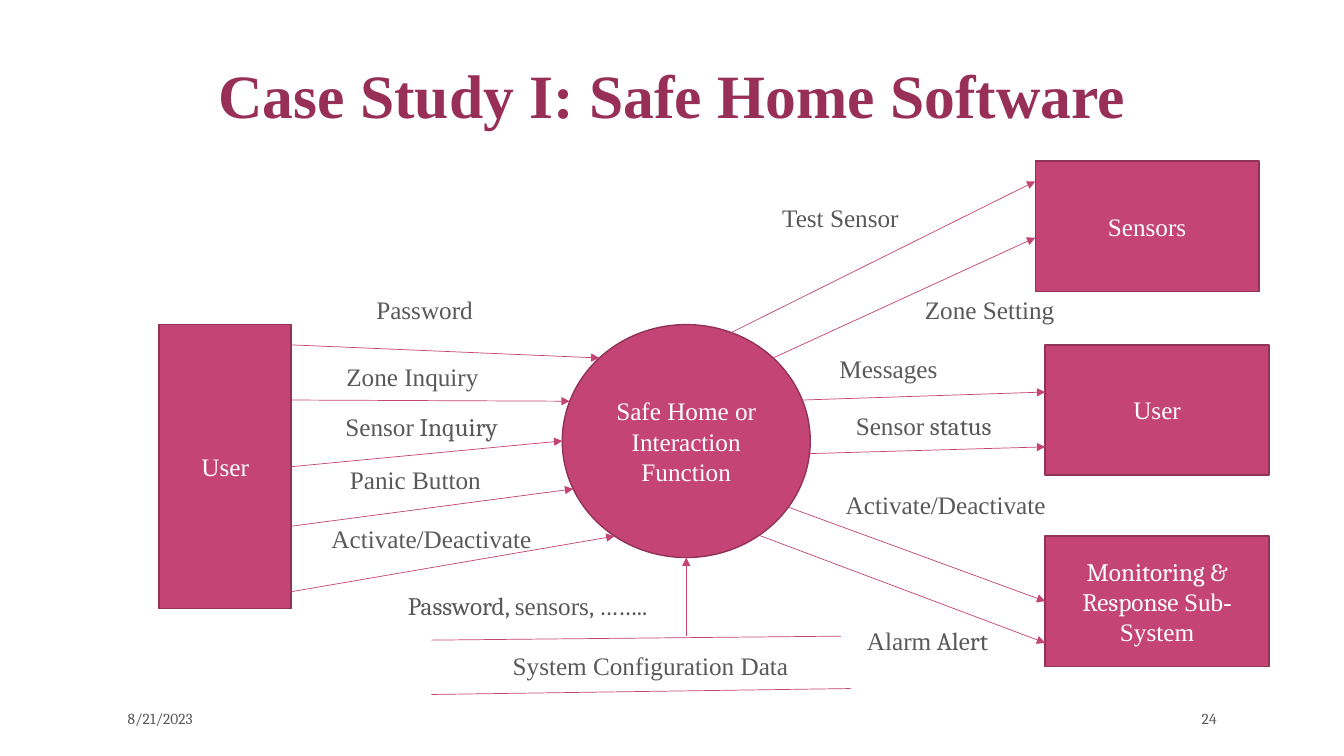
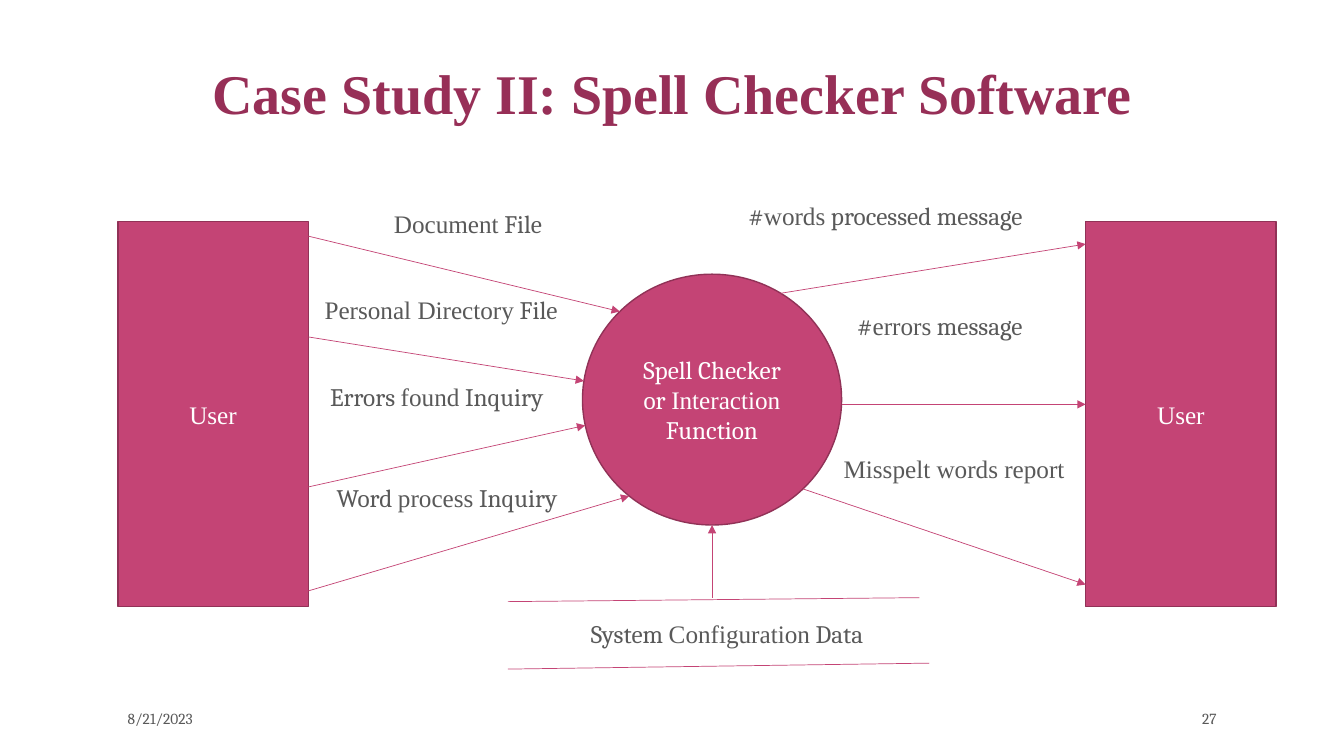
from dataclasses import dataclass
from math import sqrt

from lxml.etree import SubElement
from pptx import Presentation
from pptx.dml.color import RGBColor
from pptx.enum.shapes import MSO_CONNECTOR as Connector, MSO_SHAPE as Preset
from pptx.enum.text import MSO_ANCHOR as Anchor, MSO_AUTO_SIZE as AutoSize, PP_ALIGN as Align
from pptx.oxml.ns import qn
from pptx.util import Cm, Pt


@dataclass(frozen=True)
class Theme:
    """Colours, fonts and sizes shared by the slides."""
    title: RGBColor = RGBColor(0x97, 0x2F, 0x57)
    fill: RGBColor = RGBColor(0xC4, 0x44, 0x75)
    outline: RGBColor = RGBColor(0x91, 0x32, 0x57)
    text: RGBColor = RGBColor(0x59, 0x59, 0x59)
    inverse: RGBColor = RGBColor(0xFF, 0xFF, 0xFF)
    main_font: str = "Times New Roman"
    second_font: str = "Cambria"
    label_size: int = 18
    footer_size: int = 11
    label_height: float = 1.02
    wide_label: float = 9.27
    medium_label: float = 7.49
    short_label: float = 4.6


THEME = Theme()


@dataclass(frozen=True)
class Box:
    """A rectangle measured in centimetres."""
    left: float
    top: float
    width: float
    height: float

    @property
    def right(self):
        return self.left + self.width

    @property
    def bottom(self):
        return self.top + self.height

    @property
    def center(self):
        return self.left + self.width / 2

    @property
    def middle(self):
        return self.top + self.height / 2

    def lengths(self):
        """Return the four measures as slide lengths."""
        return [Cm(v) for v in (self.left, self.top, self.width, self.height)]


@dataclass(frozen=True)
class Flow:
    """A labelled arrow, with offsets from the tops of its entity and hub."""
    text: str
    entity_y: float
    hub_y: float
    label_x: float
    label_y: float
    label_width: float


def write(frame, text, color, size, align=Align.CENTER, first_font=THEME.main_font):
    """Write one paragraph; each bar in the text switches the font."""
    paragraph = frame.paragraphs[0]
    paragraph.alignment = align
    font = paragraph.font
    font.size, font.color.rgb = Pt(size), color
    pieces = [(piece, THEME.second_font if i % 2 else first_font)
              for i, piece in enumerate(text.split("|")) if piece]
    for piece, name in pieces:
        run = paragraph.add_run()
        run.text = piece
        if len(pieces) > 1:
            run.font.name = name
    if len(pieces) == 1:
        font.name = pieces[0][1]
    return paragraph


def add_label(slide, text, left, top, width):
    """Add a centred diagram label."""
    box = Box(left, top, width, THEME.label_height)
    frame = slide.shapes.add_textbox(*box.lengths()).text_frame
    frame.word_wrap = True
    frame.auto_size = AutoSize.SHAPE_TO_FIT_TEXT
    write(frame, text, THEME.text, THEME.label_size)


def add_node(slide, preset, box, text):
    """Add a filled shape with white centred text."""
    node = slide.shapes.add_shape(preset, *box.lengths())
    node.shadow.inherit = False
    node.fill.solid()
    node.fill.fore_color.rgb = THEME.fill
    node.line.color.rgb = THEME.outline
    node.line.width = Pt(1)
    node.text_frame.word_wrap = True
    node.text_frame.vertical_anchor = Anchor.MIDDLE
    write(node.text_frame, text, THEME.inverse, THEME.label_size)
    return node


def add_line(slide, start, end, arrow=True):
    """Add a thin straight line, with an arrowhead at its end if wanted."""
    line = slide.shapes.add_connector(Connector.STRAIGHT, *[Cm(v) for v in (*start, *end)])
    line.line.color.rgb = THEME.fill
    line.line.width = Pt(0.5)
    properties = line.element.spPr
    if arrow:
        SubElement(properties.find(qn("a:ln")), qn("a:tailEnd"), type="triangle")
    SubElement(properties, qn("a:effectLst"))
    return line


def add_frame(slide, title, size, top, number):
    """Fill the title and the footer."""
    heading = slide.shapes.title
    heading.left, heading.top, heading.width, heading.height = Box(2.97, top, 27.94, 3.3).lengths()
    heading.text_frame.auto_size = AutoSize.NONE
    heading.text_frame.vertical_anchor = Anchor.BOTTOM
    paragraph = write(heading.text_frame, title, THEME.title, size)
    paragraph.line_spacing = 0.9
    paragraph.font.bold = True
    for text, left, align in (("8/21/2023", 2.97, Align.LEFT), (number, 27.86, Align.RIGHT)):
        footer = slide.shapes.add_textbox(*Box(left, 17.78, 3.05, 0.64).lengths()).text_frame
        footer.word_wrap = True
        footer.vertical_anchor = Anchor.MIDDLE
        write(footer, text, THEME.text, THEME.footer_size, align, THEME.second_font)


def add_entity(slide, box, hub, name, flows):
    """Add an entity and its flows, into the hub from the left or out to the right."""
    entity = add_node(slide, Preset.RECTANGLE, box, name)
    inbound = box.center < hub.center
    side = -1 if inbound else 1
    for flow in flows:
        outer = (box.right if inbound else box.left, box.top + flow.entity_y)
        height = (flow.hub_y - hub.height / 2) / (hub.height / 2)
        rim = (hub.center + side * hub.width / 2 * sqrt(1 - height ** 2), hub.top + flow.hub_y)
        line = add_line(slide, outer, rim) if inbound else add_line(slide, rim, outer)
        if abs(outer[1] - box.middle) < 0.05:
            if inbound:
                line.begin_connect(entity, 3)
            else:
                line.end_connect(entity, 1)
        add_label(slide, flow.text, box.left + flow.label_x, box.top + flow.label_y, flow.label_width)


def add_store(slide, box, hub, name):
    """Add a data store between two lines, feeding the hub above it."""
    add_line(slide, (box.left, box.top + 0.1), (box.right - 0.25, box.top), arrow=False)
    add_line(slide, (box.left, box.bottom), (box.right, box.bottom - 0.15), arrow=False)
    add_label(slide, name, box.left + 0.89, box.middle - THEME.label_height / 2, THEME.wide_label)
    add_line(slide, (hub.center, box.top), (hub.center, hub.bottom))


def add_context_diagram(slide, hub, process, entities, store, store_name):
    """Draw a process with the entities and the store around it."""
    add_node(slide, Preset.OVAL, hub, process)
    for box, name, flows in entities:
        add_entity(slide, box, hub, name, flows)
    add_store(slide, store, hub, store_name)


def build_safe_home(slide):
    """Build the first case study."""
    short, medium = THEME.short_label, THEME.medium_label
    add_frame(slide, "Case Study I: Safe Home Software", 44, 0.15, "24")
    store = Box(10.87, 16.03, 10.57, 1.47)
    entities = [
        (Box(4.01, 8.18, 3.33, 7.16), "User", [
            Flow("Password", 0.51, 0.84, 4.39, -0.89, short),
            Flow("Zone Inquiry", 1.9, 1.93, 2.64, 0.79, medium),
            Flow("Sensor| Inquiry", 3.58, 2.93, 2.87, 2.06, medium),
            Flow("Panic Button", 5.08, 4.14, 3.63, 3.4, 5.66),
            Flow("Activate/Deactivate", 6.73, 5.33, 3.12, 4.88, medium)]),
        (Box(26.09, 4.06, 5.64, 3.28), "Sensors", [
            Flow("Test Sensor", 0.51, 0.2, -7.21, 0.91, short),
            Flow("Zone Setting", 1.93, 0.84, -3.45, 3.23, short)]),
        (Box(26.34, 8.69, 5.64, 3.28), "User", [
            Flow("Messages", 1.19, 1.9, -6.25, 0.1, short),
            Flow("Sensor| status", 2.57, 3.25, -5.36, 1.52, short)]),
        (Box(26.34, 13.51, 5.64, 3.28), "|Monitoring & Response |Sub-System", [
            Flow("Activate/Deactivate", 1.64, 4.6, -6.25, -1.3, medium),
            Flow("Alarm| Alert", 2.69, 5.31, -6.71, 2.11, medium)]),
    ]
    add_context_diagram(slide, Box(14.17, 8.18, 6.25, 5.87), "Safe Home or Interaction Function",
                        entities, store, "System Configuration Data")
    add_label(slide, "|Password, |sensors|, ……..", store.left - 1.32, store.top - 1.27, medium)


def build_spell_checker(slide):
    """Build the second case study."""
    wide = THEME.wide_label
    add_frame(slide, "Case Study II: Spell Checker Software", 40, 0.03, "27")
    entities = [
        (Box(2.97, 5.59, 4.8, 9.7), "User", [
            Flow("Document| File", 0.36, 0.94, 4.19, -0.46, wide),
            Flow("Personal Directory| File", 2.9, 2.69, 3.51, 1.7, wide),
            Flow("|Errors |found| Inquiry", 6.68, 3.81, 3.4, 3.89, wide),
            Flow("|Word |process| Inquiry", 9.3, 5.59, 3.66, 6.43, wide)]),
        (Box(27.36, 5.59, 4.8, 9.7), "User", [
            Flow("|#|words| processed message", 0.56, 0.48, -9.68, -0.66, wide),
            Flow("|#|errors| message", 4.6, 3.28, -8.31, 2.11, wide),
            Flow("Misspelt words report", 9.14, 5.41, -7.95, 5.72, wide)]),
    ]
    add_context_diagram(slide, Box(14.68, 6.91, 6.53, 6.32),
                        "|Spell Checker or |Interaction| Function", entities,
                        Box(12.8, 15.06, 10.62, 1.8), "|System |Configuration| Data")


def main():
    """Build and save the presentation."""
    deck = Presentation()
    deck.slide_width, deck.slide_height = Cm(33.87), Cm(19.05)
    title_only = deck.slide_layouts[5]
    for build in (build_safe_home, build_spell_checker):
        build(deck.slides.add_slide(title_only))
    deck.save("out.pptx")


if __name__ == "__main__":
    main()
